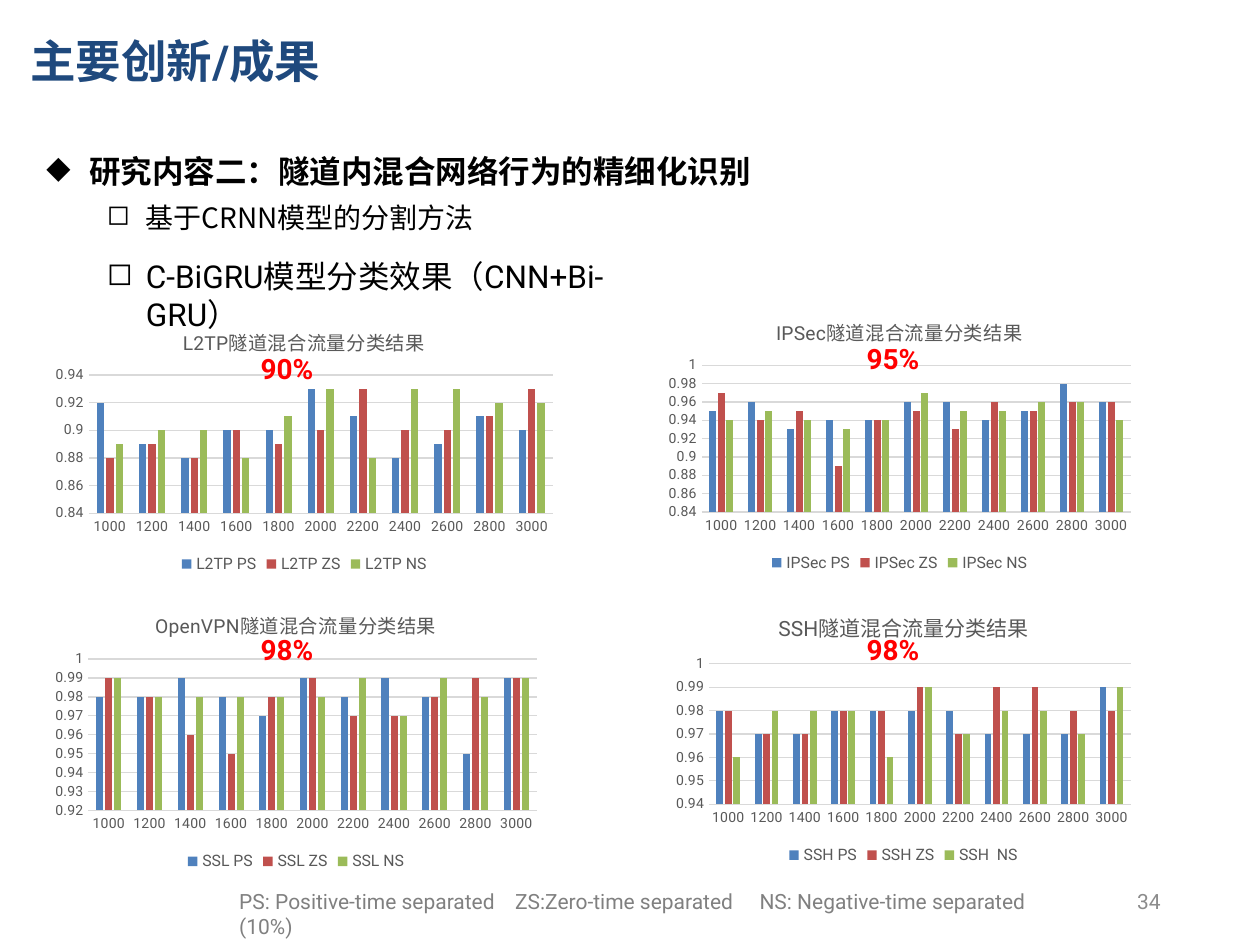
from lxml.etree import SubElement
from pptx import Presentation
from pptx.chart.data import CategoryChartData
from pptx.dml.color import RGBColor
from pptx.enum.chart import XL_CHART_TYPE, XL_LEGEND_POSITION, XL_TICK_MARK
from pptx.enum.text import MSO_ANCHOR, PP_ALIGN
from pptx.oxml.ns import qn
from pptx.util import Inches, Pt

COLORS = {
    "title": "1F497D", "body": "000000", "accuracy": "FF0000",
    "page": "8C8C8C", "note": "808080", "label": "595959", "grid": "D9D9D9",
    "PS": "4F81BD", "ZS": "C0504D", "NS": "9BBB59",
}
CJK_FONT = "Noto Sans CJK SC"

# Content: text, box, colour, font values, layout options
TEXTS = [
    ("主要创新/成果", (0.14, 0.16, 7.63, 0.64), "title",
     {"size": 26, "bold": True}, {"anchor": MSO_ANCHOR.MIDDLE}),
    ("34", (7.06, 6.95, 2.25, 0.4), "page", {"size": 12},
     {"anchor": MSO_ANCHOR.MIDDLE, "align": PP_ALIGN.RIGHT}),
    ("研究内容二：隧道内混合网络行为的精细化识别", (0.27, 1.07, 9.22, 0.48), "body",
     {"size": 18, "bold": True, "name": "Times New Roman"},
     {"bullet": "◆", "indent": 0.34, "line_spacing": 1.3}),
    ("基于CRNN模型的分割方法", (0.75, 1.54, 7.72, 0.37), "body",
     {"size": 16, "name": CJK_FONT}, {"bullet": "◻", "indent": 0.31}),
    ("C-BiGRU模型分类效果（CNN+Bi-GRU）", (0.75, 1.99, 4.75, 0.4), "body",
     {"size": 18}, {"bullet": "◻", "indent": 0.31}),
    ("PS: Positive-time separated\tZS:Zero-time separated\t"
     "NS: Negative-time separated (10%)", (1.8, 7, 6.59, 0.3), "note",
     {"size": 12}, {"tabs": (2.19, 4.13)}),
]

PACKET_COUNTS = [str(count) for count in range(1000, 3001, 200)]

# Content: title, size, box, (min, max, step), accuracy and its place, series
RESULTS = [
    ("L2TP隧道混合流量分类结果", 11, (0.36, 2.46, 4.11, 2.13), (0.84, 0.94, 0.02),
     "90%", (1.97, 2.74), {
         "L2TP PS": (0.92, 0.89, 0.88, 0.9, 0.9, 0.93, 0.91, 0.88, 0.89, 0.91, 0.9),
         "L2TP ZS": (0.88, 0.89, 0.88, 0.9, 0.89, 0.9, 0.93, 0.9, 0.9, 0.91, 0.93),
         "L2TP NS": (0.89, 0.9, 0.9, 0.88, 0.91, 0.93, 0.88, 0.93, 0.93, 0.92, 0.92)}),
    ("IPSec隧道混合流量分类结果", 11, (5.23, 2.38, 3.82, 2.2), (0.84, 1, 0.02),
     "95%", (6.78, 2.66), {
         "IPSec PS": (0.95, 0.96, 0.93, 0.94, 0.94, 0.96, 0.96, 0.94, 0.95, 0.98, 0.96),
         "IPSec ZS": (0.97, 0.94, 0.95, 0.89, 0.94, 0.95, 0.93, 0.96, 0.95, 0.96, 0.96),
         "IPSec NS": (0.94, 0.95, 0.94, 0.93, 0.94, 0.97, 0.95, 0.95, 0.96, 0.96, 0.94)}),
    ("OpenVPN隧道混合流量分类结果", 11, (0.36, 4.71, 3.98, 2.24), (0.92, 1, 0.01),
     "98%", (1.97, 4.97), {
         "SSL PS": (0.98, 0.98, 0.99, 0.98, 0.97, 0.99, 0.98, 0.99, 0.98, 0.95, 0.99),
         "SSL ZS": (0.99, 0.98, 0.96, 0.95, 0.98, 0.99, 0.97, 0.97, 0.98, 0.99, 0.99),
         "SSL NS": (0.99, 0.98, 0.98, 0.98, 0.98, 0.98, 0.99, 0.97, 0.99, 0.98, 0.99)}),
    ("SSH隧道混合流量分类结果", 12, (5.29, 4.71, 3.76, 2.19), (0.94, 1, 0.01),
     "98%", (6.78, 4.97), {
         "SSH PS": (0.98, 0.97, 0.97, 0.98, 0.98, 0.98, 0.98, 0.97, 0.97, 0.97, 0.99),
         "SSH ZS": (0.98, 0.97, 0.97, 0.98, 0.98, 0.99, 0.97, 0.99, 0.99, 0.98, 0.98),
         "SSH  NS": (0.96, 0.98, 0.98, 0.98, 0.96, 0.99, 0.97, 0.98, 0.98, 0.97, 0.99)}),
]


def rgb(key):
    return RGBColor.from_string(COLORS[key])


def set_font(font, color, values):
    for attribute, value in {"name": "Roboto", "bold": False, **values}.items():
        setattr(font, attribute, Pt(value) if attribute == "size" else value)
    font.color.rgb = rgb(color)


def add_text(slide, text, box, color, values, options, wrap=True):
    frame = slide.shapes.add_textbox(*map(Inches, box)).text_frame
    frame.word_wrap = wrap
    frame.vertical_anchor = options.get("anchor", MSO_ANCHOR.TOP)
    paragraph = frame.paragraphs[0]
    paragraph.alignment = options.get("align", PP_ALIGN.LEFT)
    paragraph.line_spacing = options.get("line_spacing")
    properties = paragraph._p.get_or_add_pPr()
    if "bullet" in options:
        indent = Inches(options["indent"])
        properties.set("marL", str(indent))
        properties.set("indent", str(-indent))
        SubElement(properties, qn("a:buChar"), char=options["bullet"])
    if "tabs" in options:
        stops = SubElement(properties, qn("a:tabLst"))
        for position in options["tabs"]:
            SubElement(stops, qn("a:tab"), pos=str(Inches(position)), algn="l")
    run = paragraph.add_run()
    run.text = text
    set_font(run.font, color, values)
    SubElement(run._r.get_or_add_rPr(), qn("a:ea"), typeface=CJK_FONT)


def add_result_chart(slide, title, title_size, box, scale, results):
    data = CategoryChartData()
    data.categories = PACKET_COUNTS
    for name, rates in results.items():
        data.add_series(name, rates)
    chart = slide.shapes.add_chart(
        XL_CHART_TYPE.COLUMN_CLUSTERED, *map(Inches, box), data).chart
    set_font(chart.font, "body", {"size": 10})

    # Title and legend
    chart.has_title = True
    heading = chart.chart_title.text_frame.paragraphs[0].add_run()
    heading.text = title
    set_font(heading.font, "label", {"size": title_size})
    chart.chart_title.include_in_layout = False
    chart.has_legend = True
    chart.legend.position = XL_LEGEND_POSITION.BOTTOM
    chart.legend.include_in_layout = False
    set_font(chart.legend.font, "label", {"size": 9})

    # Axes
    counts, rates = chart.category_axis, chart.value_axis
    for axis in (counts, rates):
        axis.major_tick_mark = axis.minor_tick_mark = XL_TICK_MARK.NONE
        set_font(axis.tick_labels.font, "label", {"size": 8})
    rates.minimum_scale, rates.maximum_scale, rates.major_unit = scale
    rates.format.line.fill.background()
    for line in (counts.format.line, rates.major_gridlines.format.line):
        line.color.rgb = rgb("grid")
        line.width = Pt(0.75)

    # Columns
    plot = chart.plots[0]
    plot.vary_by_categories = False
    plot.gap_width, plot.overlap = 219, -27
    for series in plot.series:
        series.format.fill.solid()
        series.format.fill.fore_color.rgb = rgb(series.name[-2:])


def main():
    presentation = Presentation()
    presentation.slide_width, presentation.slide_height = Inches(10), Inches(7.5)
    slide = presentation.slides.add_slide(presentation.slide_layouts[6])
    for text in TEXTS:
        add_text(slide, *text)
    for title, size, box, scale, accuracy, place, results in RESULTS:
        add_result_chart(slide, title, size, box, scale, results)
        add_text(slide, accuracy, (*place, 0.62, 0.37), "accuracy",
                 {"size": 16, "bold": True}, {}, wrap=False)
    presentation.save("out.pptx")


if __name__ == "__main__":
    main()
